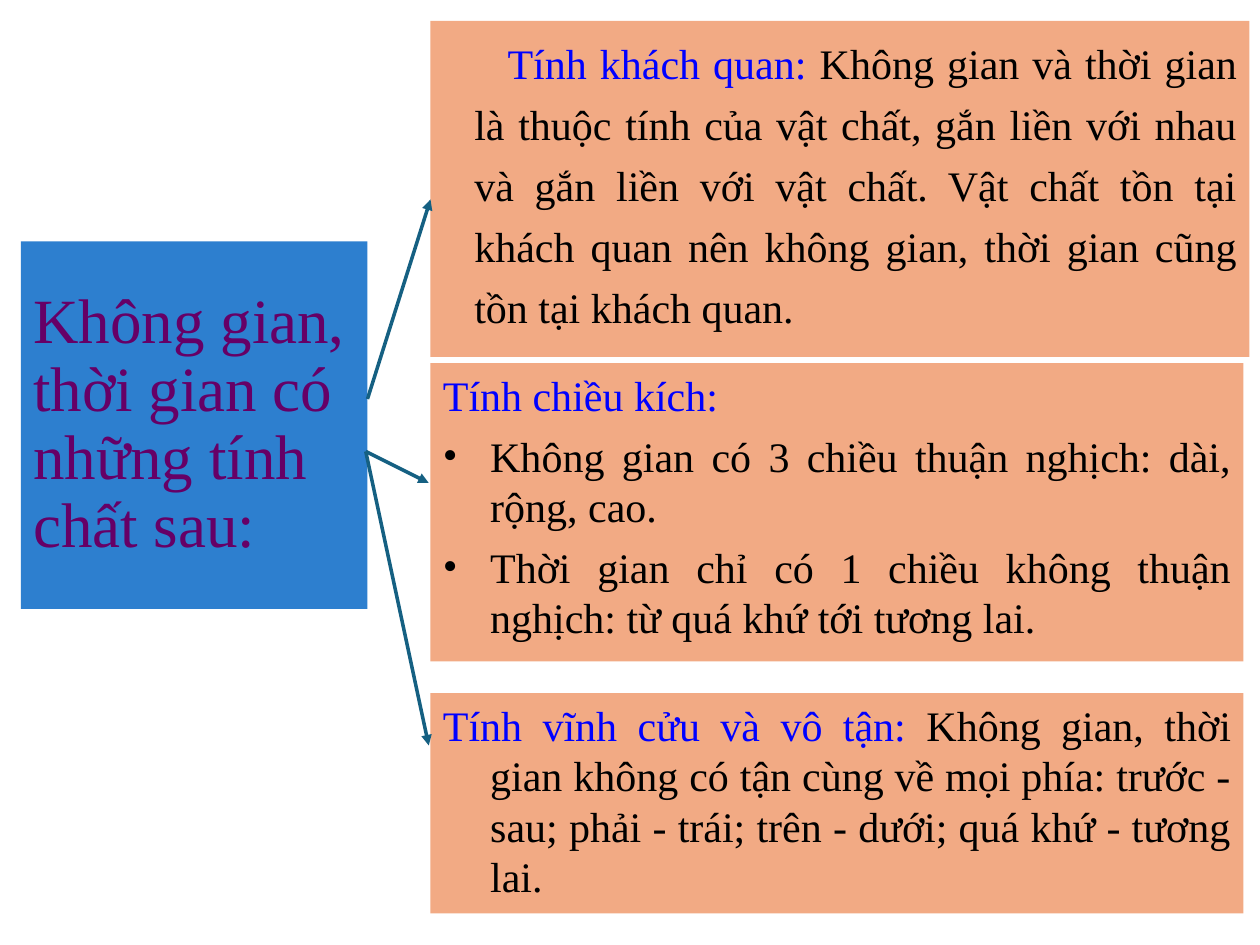
from lxml.etree import SubElement
from pptx import Presentation
from pptx.dml.color import RGBColor
from pptx.enum.shapes import MSO_CONNECTOR as Connector, MSO_SHAPE as Shape
from pptx.enum.text import MSO_ANCHOR as Anchor, PP_ALIGN as Align
from pptx.oxml.ns import qn
from pptx.util import Pt


def color(value):
    return RGBColor.from_string(value)


def write(para, text, size=24, fill="000000", name="Times New Roman"):
    span = para.add_run()
    span.text = text
    span.font.size = Pt(size)
    span.font.name = name
    span.font.color.rgb = color(fill)


BLUE, ORANGE, TEAL = "2D7FCF", "F2AA84", "156082"
HEADING, TITLE = "0000FF", "660066"

deck = Presentation()
deck.slide_width, deck.slide_height = Pt(720), Pt(540)
page = deck.slides.add_slide(deck.slide_layouts[6])

# Each paragraph: heading, body, bulleted
objective = [("Tính khách quan:",
              " Không gian và thời gian là thuộc tính của vật chất, gắn liền với nhau "
              "và gắn liền với vật chất. Vật chất tồn tại khách quan nên không gian, "
              "thời gian cũng tồn tại khách quan.", False)]
dimensions = [("Tính chiều kích:", "", False),
              ("", "Không gian có 3 chiều thuận nghịch: dài, rộng, cao.", True),
              ("", "Thời gian chỉ có 1 chiều không thuận nghịch: "
                   "từ quá khứ tới tương lai.", True)]
eternity = [("Tính vĩnh cửu và vô tận:",
             " Không gian, thời gian không có tận cùng về mọi phía: trước - sau; "
             "phải - trái; trên - dưới; quá khứ - tương lai.", False)]

# Boxes: position, fill, paragraphs, left margin, first-line indent, line spacing, gap
boxes = [
    ((12, 138, 198, 210), BLUE, None, 0, 0, 0.9, 0),
    ((246, 12, 468, 192), ORANGE, objective, 18, 19, 1.21, 6),
    ((246, 207.5, 464.5, 170.5), ORANGE, dimensions, 27, -27, 1.0, 3),
    ((246, 396, 464.5, 126), ORANGE, eternity, 27, -27, 1.0, 3),
]
for position, fill, paragraphs, margin, indent, spacing, gap in boxes:
    box = page.shapes.add_shape(Shape.RECTANGLE, *map(Pt, position))
    box.shadow.inherit = False
    box.fill.solid()
    box.fill.fore_color.rgb = color(fill)
    box.line.fill.background()
    frame = box.text_frame
    frame.word_wrap = True

    # Title box
    if paragraphs is None:
        frame.vertical_anchor = Anchor.MIDDLE
        para = frame.paragraphs[0]
        para.alignment = Align.LEFT
        para.line_spacing = spacing
        write(para, "Không gian, thời gian có những tính chất sau:", size=36, fill=TITLE)
        continue

    # Property boxes
    frame.vertical_anchor = Anchor.TOP
    for number, (heading, body, bulleted) in enumerate(paragraphs):
        para = frame.add_paragraph() if number else frame.paragraphs[0]
        para.alignment = Align.JUSTIFY
        para.line_spacing = spacing
        para.space_before = Pt(gap if number else 0)
        para.space_after = Pt(gap)
        properties = para._p.get_or_add_pPr()
        properties.set("marL", str(Pt(margin)))
        properties.set("indent", str(Pt(indent)))
        if bulleted:
            tint = SubElement(properties, qn("a:buClr"))
            SubElement(tint, qn("a:srgbClr"), val="000000")
            SubElement(properties, qn("a:buFont"), typeface="Times New Roman")
            SubElement(properties, qn("a:buChar"), char="•")
        if heading:
            write(para, heading, fill=HEADING)
        if body:
            write(para, body)

# Arrows from the title box to the properties
for ends in [(210, 228, 246, 114), (209, 258, 245, 276), (209, 258, 245, 426)]:
    arrow = page.shapes.add_connector(Connector.STRAIGHT, *map(Pt, ends))
    arrow.line.color.rgb = color(TEAL)
    arrow.line.width = Pt(2)
    SubElement(arrow.line._get_or_add_ln(), qn("a:tailEnd"), type="triangle")
    SubElement(arrow._element.spPr, qn("a:effectLst"))

deck.save("out.pptx")
